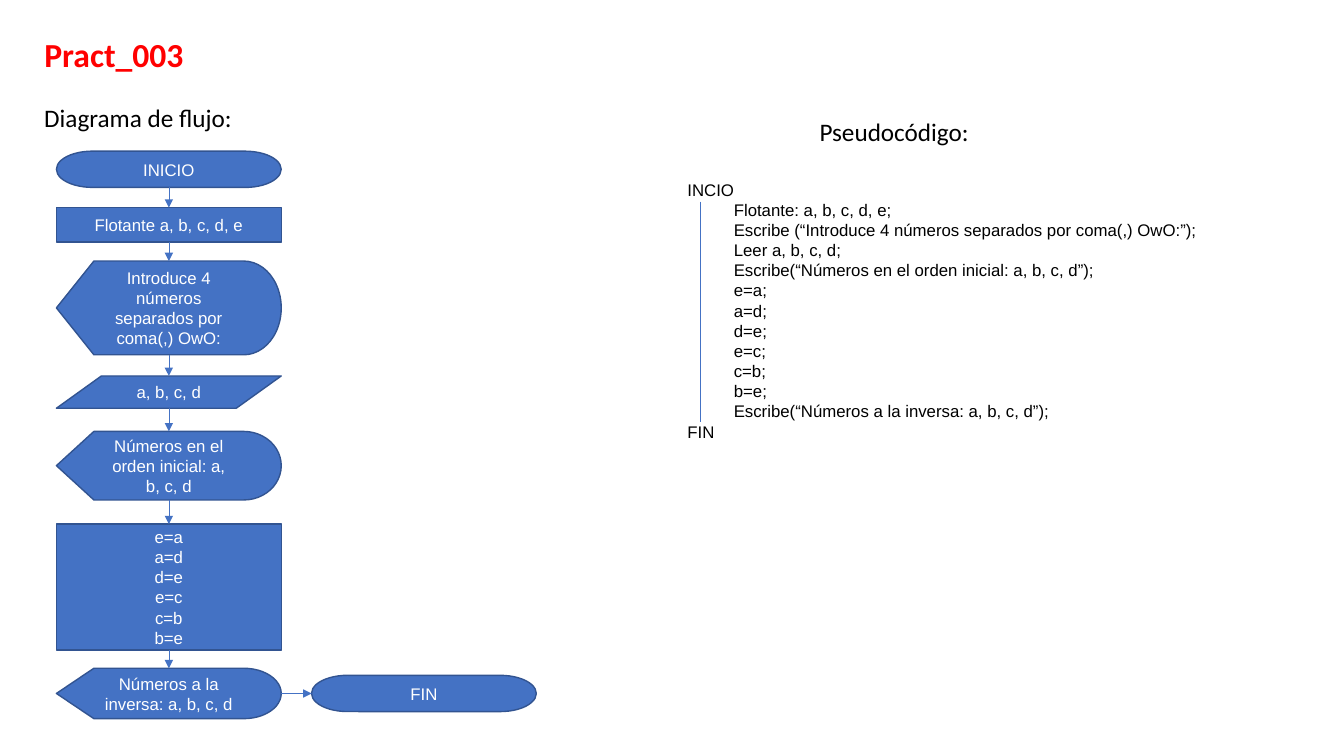
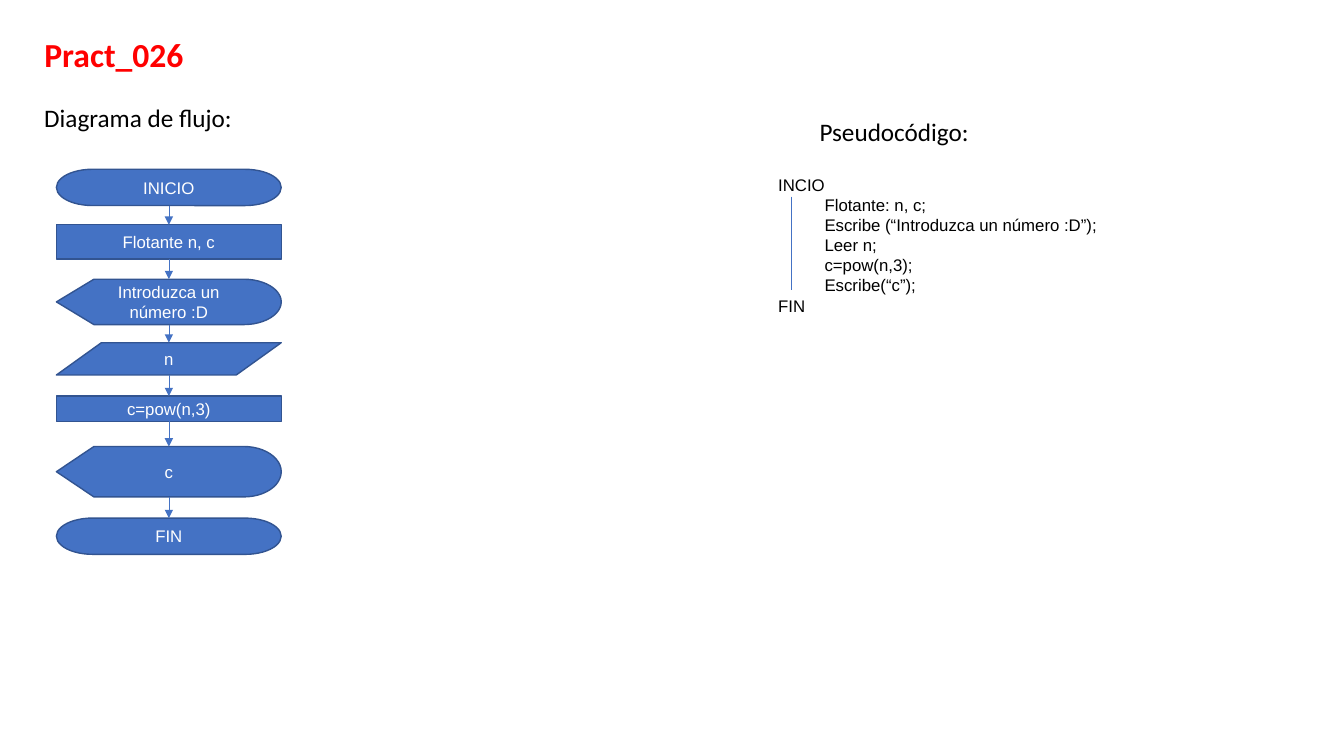
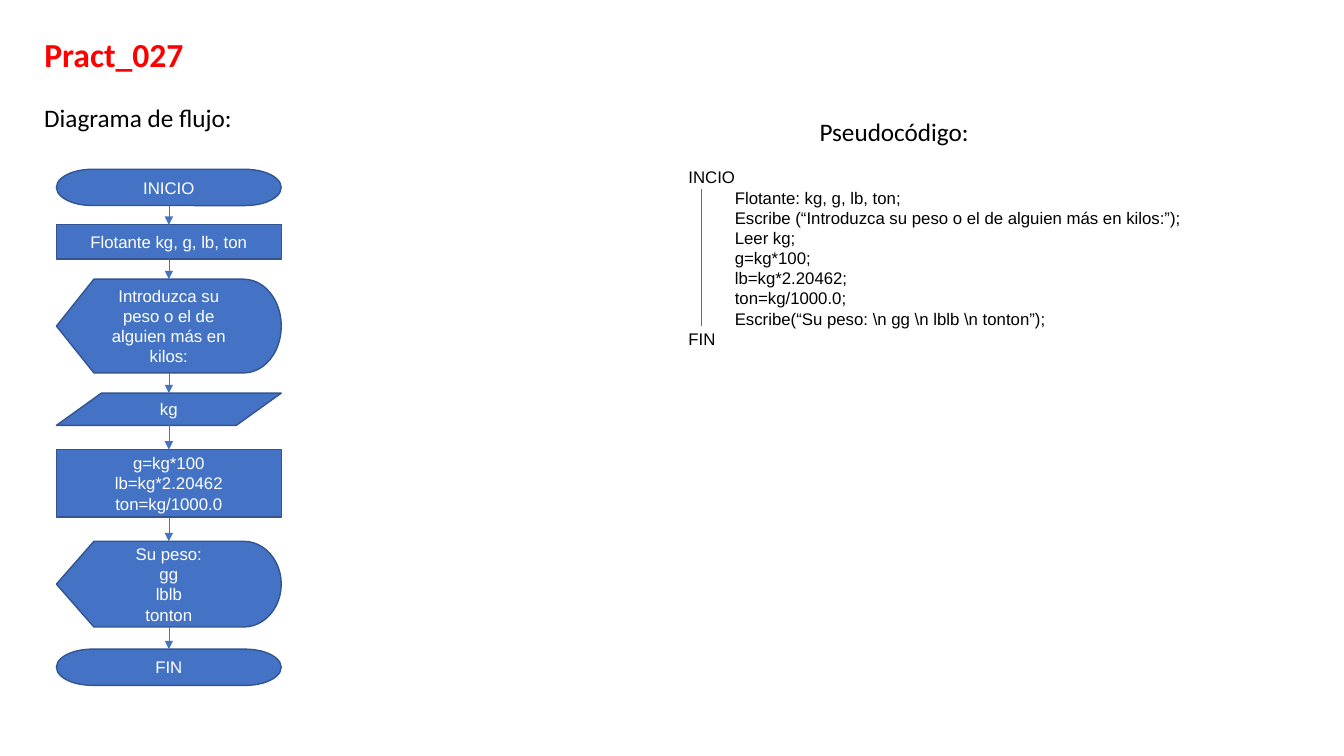
from dataclasses import dataclass

from pptx import Presentation
from pptx.dml.color import RGBColor
from pptx.enum.shapes import MSO_CONNECTOR, MSO_SHAPE
from pptx.enum.text import MSO_ANCHOR, MSO_AUTO_SIZE, PP_ALIGN
from pptx.oxml.ns import qn
from pptx.util import Inches, Pt

BLUE, EDGE, RED, BLACK, WHITE = "4472C4", "325491", "FF0000", "000000", "FFFFFF"

TITLE = {"name": "Calibri", "size": Pt(24), "bold": True, "color": RED}
HEADING = {"name": "Calibri", "size": Pt(18), "color": BLACK}
CODE = {"name": "Arial", "size": Pt(12), "color": BLACK}
STEP = {"name": "Arial", "size": Pt(12), "color": WHITE}

TERMINAL = MSO_SHAPE.FLOWCHART_TERMINATOR
PROCESS = MSO_SHAPE.RECTANGLE
DISPLAY = MSO_SHAPE.FLOWCHART_DISPLAY
DATA = MSO_SHAPE.FLOWCHART_DATA

FLOW_LEFT, STEP_WIDTH = 0.56, 2.23
TOP, LEFT, BOTTOM, RIGHT = range(4)


@dataclass
class Practice:
    """Content of one practice: steps as (kind, top, height, text), and code lines."""

    title: str
    steps: list
    code_at: tuple
    code: list
    end_beside: tuple = ()


PRACTICES = [
    Practice(
        "Pract_003",
        [
            (TERMINAL, 1.5, 0.36, "INICIO"),
            (PROCESS, 2.06, 0.34, "Flotante a, b, c, d, e"),
            (DISPLAY, 2.59, 0.93, "Introduce 4 números separados por coma(,) OwO:"),
            (DATA, 3.73, 0.32, "a, b, c, d"),
            (DISPLAY, 4.28, 0.68, "Números en el orden inicial: a, b, c, d"),
            (PROCESS, 5.2, 1.25, "e=a\na=d\nd=e\ne=c\nc=b\nb=e"),
            (DISPLAY, 6.63, 0.5, "Números a la inversa: a, b, c, d"),
        ],
        (6.72, 1.73),
        [
            "Flotante: a, b, c, d, e;",
            "Escribe (“Introduce 4 números separados por coma(,) OwO:”);",
            "Leer a, b, c, d;",
            "Escribe(“Números en el orden inicial: a, b, c, d”);",
            "e=a;", "a=d;", "d=e;", "e=c;", "c=b;", "b=e;",
            "Escribe(“Números a la inversa: a, b, c, d”);",
        ],
        end_beside=(TERMINAL, 6.7, 0.36, "FIN"),
    ),
    Practice(
        "Pract_026",
        [
            (TERMINAL, 1.68, 0.36, "INICIO"),
            (PROCESS, 2.23, 0.34, "Flotante n, c"),
            (DISPLAY, 2.77, 0.45, "Introduzca un número :D"),
            (DATA, 3.4, 0.32, "n"),
            (PROCESS, 3.93, 0.25, "c=pow(n,3)"),
            (DISPLAY, 4.43, 0.5, "c"),
            (TERMINAL, 5.14, 0.36, "FIN"),
        ],
        (7.62, 1.68),
        [
            "Flotante: n, c;",
            "Escribe (“Introduzca un número :D”);",
            "Leer n;",
            "c=pow(n,3);",
            "Escribe(“c”);",
        ],
    ),
    Practice(
        "Pract_027",
        [
            (TERMINAL, 1.68, 0.36, "INICIO"),
            (PROCESS, 2.23, 0.34, "Flotante kg, g, lb, ton"),
            (DISPLAY, 2.77, 0.93, "Introduzca su peso o el de alguien más en kilos:"),
            (DATA, 3.9, 0.32, "kg"),
            (PROCESS, 4.46, 0.67, "g=kg*100\nlb=kg*2.20462\nton=kg/1000.0"),
            (DISPLAY, 5.37, 0.85, "Su peso:\ngg\nlblb\ntonton"),
            (TERMINAL, 6.44, 0.36, "FIN"),
        ],
        (6.73, 1.61),
        [
            "Flotante: kg, g, lb, ton;",
            "Escribe (“Introduzca su peso o el de alguien más en kilos:”);",
            "Leer kg;",
            "g=kg*100;",
            "lb=kg*2.20462;",
            "ton=kg/1000.0;",
            r"Escribe(“Su peso: \n gg \n lblb \n tonton”);",
        ],
    ),
]


def rgb(value):
    """Turn a hex string into a colour."""
    return RGBColor.from_string(value)


def write(frame, text, style, align=PP_ALIGN.LEFT):
    """Fill a text frame, one paragraph a line, in the given style."""
    frame.text = text
    for para in frame.paragraphs:
        para.alignment = align
        for span in para.runs:
            for key, value in style.items():
                if key == "color":
                    span.font.color.rgb = rgb(value)
                else:
                    setattr(span.font, key, value)


def add_title(page, text):
    """Move and format the title placeholder."""
    title = page.shapes.title
    place = {"left": 0.34, "top": 0.29, "width": 3.4, "height": 0.5}
    for key, value in place.items():
        setattr(title, key, Inches(value))
    title.text_frame.auto_size = MSO_AUTO_SIZE.NONE
    title.text_frame.vertical_anchor = MSO_ANCHOR.TOP
    write(title.text_frame, text, TITLE)


def add_text(page, left, top, width, height, text, style):
    """Add a wrapping text box and return it."""
    box = page.shapes.add_textbox(
        Inches(left), Inches(top), Inches(width), Inches(height))
    box.text_frame.word_wrap = True
    write(box.text_frame, text, style)
    return box


def add_step(page, left, step):
    """Add one flowchart step and return its shape."""
    kind, top, height, text = step
    shape = page.shapes.add_shape(
        kind, Inches(left), Inches(top), Inches(STEP_WIDTH), Inches(height))
    shape.shadow.inherit = False
    shape.fill.solid()
    shape.fill.fore_color.rgb = rgb(BLUE)
    shape.line.color.rgb = rgb(EDGE)
    shape.line.width = Pt(1)
    shape.text_frame.word_wrap = True
    shape.text_frame.vertical_anchor = MSO_ANCHOR.MIDDLE
    write(shape.text_frame, text, STEP, PP_ALIGN.CENTER)
    return shape


def add_line(page, start, end):
    """Add a thin blue straight line between two points and return it."""
    line = page.shapes.add_connector(MSO_CONNECTOR.STRAIGHT, *start, *end)
    line.line.color.rgb = rgb(BLUE)
    line.line.width = Pt(0.5)
    line._element.spPr.append(line._element.makeelement(qn("a:effectLst"), {}))
    return line


def side_point(shape, side):
    """Return the middle of a side of a shape."""
    middle = shape.left + shape.width // 2
    centre = shape.top + shape.height // 2
    return {
        TOP: (middle, shape.top),
        LEFT: (shape.left, centre),
        BOTTOM: (middle, shape.top + shape.height),
        RIGHT: (shape.left + shape.width, centre),
    }[side]


def add_arrow(page, source, target, source_side=BOTTOM, target_side=TOP):
    """Add an arrow between two steps, joined where the side has a site."""
    arrow = add_line(
        page, side_point(source, source_side), side_point(target, target_side))
    outline = arrow.line._get_or_add_ln()
    outline.append(outline.makeelement(qn("a:tailEnd"), {"type": "triangle"}))
    if source.auto_shape_type != DATA:
        arrow.begin_connect(source, source_side)
    if target.auto_shape_type != DATA:
        arrow.end_connect(target, target_side)


def add_flowchart(page, practice):
    """Add the column of steps, its arrows and an end beside it if any."""
    shapes = [add_step(page, FLOW_LEFT, step) for step in practice.steps]
    for source, target in zip(shapes, shapes[1:]):
        add_arrow(page, source, target)
    if practice.end_beside:
        end = add_step(page, 3.09, practice.end_beside)
        add_arrow(page, shapes[-1], end, RIGHT, LEFT)


def add_pseudocode(page, left, top, code):
    """Add the code with its body indented beside a guide line."""
    text = "\n".join(["INCIO", *code, "FIN"])
    box = add_text(page, left, top, 5.6, 0.5 + 0.2 * len(code), text, CODE)
    for para in box.text_frame.paragraphs[1:-1]:
        para._p.get_or_add_pPr().set("marL", str(Inches(0.46)))
    guide_left, guide_top = Inches(left + 0.23), Inches(top + 0.27)
    guide_length = Inches(0.21 * len(code) - 0.12)
    add_line(page, (guide_left, guide_top), (guide_left, guide_top + guide_length))


def add_practice(deck, practice):
    """Add the slide of one practice."""
    page = deck.slides.add_slide(deck.slide_layouts[5])
    add_title(page, practice.title)
    add_text(page, 0.34, 0.97, 4.47, 0.4, "Diagrama de flujo:", HEADING)
    add_text(page, 8.03, 1.1, 4.47, 0.4, "Pseudocódigo:", HEADING)
    add_flowchart(page, practice)
    add_pseudocode(page, *practice.code_at, practice.code)


def main():
    """Build and save the deck."""
    deck = Presentation()
    deck.slide_width, deck.slide_height = Inches(13.33), Inches(7.5)
    for practice in PRACTICES:
        add_practice(deck, practice)
    deck.save("out.pptx")


if __name__ == "__main__":
    main()
